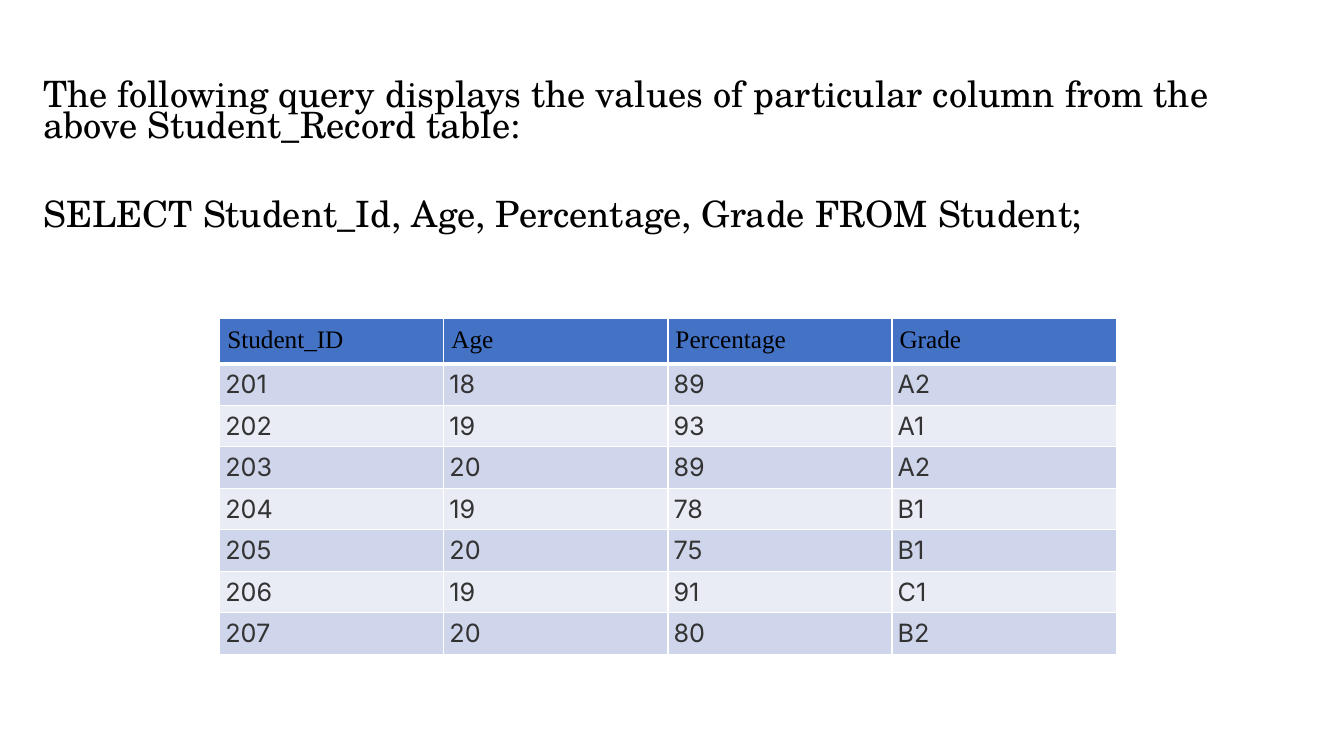
from lxml import etree
from pptx import Presentation, util as u
from pptx.dml.color import RGBColor
from pptx.enum import text
from pptx.oxml.ns import qn

SLIDE_W, SLIDE_H = u.Inches(13.33), u.Inches(7.5)

INTRO = ("The following query displays the values of particular column "
         "from the above Student_Record table:")
QUERY = "SELECT Student_Id, Age, Percentage, Grade FROM Student;"
RECORDS = [
    ("Student_ID", "Age", "Percentage", "Grade"),
    ("201", "18", "89", "A2"),
    ("202", "19", "93", "A1"),
    ("203", "20", "89", "A2"),
    ("204", "19", "78", "B1"),
    ("205", "20", "75", "B1"),
    ("206", "19", "91", "C1"),
    ("207", "20", "80", "B2"),
]

QUERY_FONT = {"name": "TeX Gyre Schola", "size": u.Pt(25.9)}
HEADER_FONT = {"name": "Times New Roman", "size": u.Pt(18), "bold": False}
RECORD_FONT = {"name": "Inter", "size": u.Pt(18), "bold": False}
HEADER_FILL, BAND_FILLS = "4472C4", ("E9EBF5", "CFD5EA")


def rgb(value):
    return RGBColor.from_string(value)


def apply(target, values):
    for name, value in values.items():
        setattr(target, name, value)


def write(paragraph, wording, font, color, layout):
    run = paragraph.add_run()
    run.text = wording
    apply(run.font, font)
    run.font.color.rgb = rgb(color)
    apply(paragraph, layout)


def add_explanation(slide, left, top, width, height):
    frame = slide.shapes.add_textbox(left, top, width, height).text_frame
    apply(frame, {"word_wrap": True, "vertical_anchor": text.MSO_ANCHOR.TOP})
    # The wide space before the query sets it apart from the introduction
    for index, (wording, gap) in enumerate([(INTRO, 10), (QUERY, 42)]):
        paragraph = frame.add_paragraph() if index else frame.paragraphs[0]
        write(paragraph, wording, QUERY_FONT, "000000",
              {"line_spacing": 0.7, "space_before": u.Pt(gap)})


def add_borders(cell, bottom):
    properties = cell._tc.get_or_add_tcPr()
    for side, points in {"L": 1, "R": 1, "T": 1, "B": bottom}.items():
        line = etree.SubElement(properties, qn(f"a:ln{side}"), w=str(u.Pt(points)))
        fill = etree.SubElement(line, qn("a:solidFill"))
        etree.SubElement(fill, qn("a:srgbClr"), val="FFFFFF")


def format_cell(cell, wording, row):
    is_header = row == 0
    margin = u.Pt(5.4 if is_header else 4)
    apply(cell, {f"margin_{side}": margin
                 for side in ("left", "right", "top", "bottom")})
    add_borders(cell, 3 if is_header else 1)
    cell.fill.solid()
    cell.fill.fore_color.rgb = rgb(HEADER_FILL if is_header else BAND_FILLS[row % 2])
    paragraph = cell.text_frame.paragraphs[0]
    if is_header:
        write(paragraph, wording, HEADER_FONT, "000000", {})
    else:
        write(paragraph, wording, RECORD_FONT, "333333",
              {"alignment": text.PP_ALIGN.JUSTIFY})


def add_records(slide, left, top, width, row_height):
    rows, columns = len(RECORDS), len(RECORDS[0])
    records = slide.shapes.add_table(
        rows, columns, left, top, width, row_height * rows).table
    apply(records, {"first_row": False, "horz_banding": False})
    for row, record in enumerate(RECORDS):
        for column, wording in enumerate(record):
            format_cell(records.cell(row, column), wording, row)


def main():
    deck = Presentation()
    apply(deck, {"slide_width": SLIDE_W, "slide_height": SLIDE_H})
    slide = deck.slides.add_slide(deck.slide_layouts[6])

    # Introduction and query
    add_explanation(slide, u.Inches(0.33), u.Inches(0.78),
                    u.Inches(12.59), u.Inches(1.72))

    # Query result
    add_records(slide, u.Inches(2.18), u.Inches(3.16),
                u.Inches(8.89), u.Inches(0.41))

    deck.save("out.pptx")


if __name__ == "__main__":
    main()
